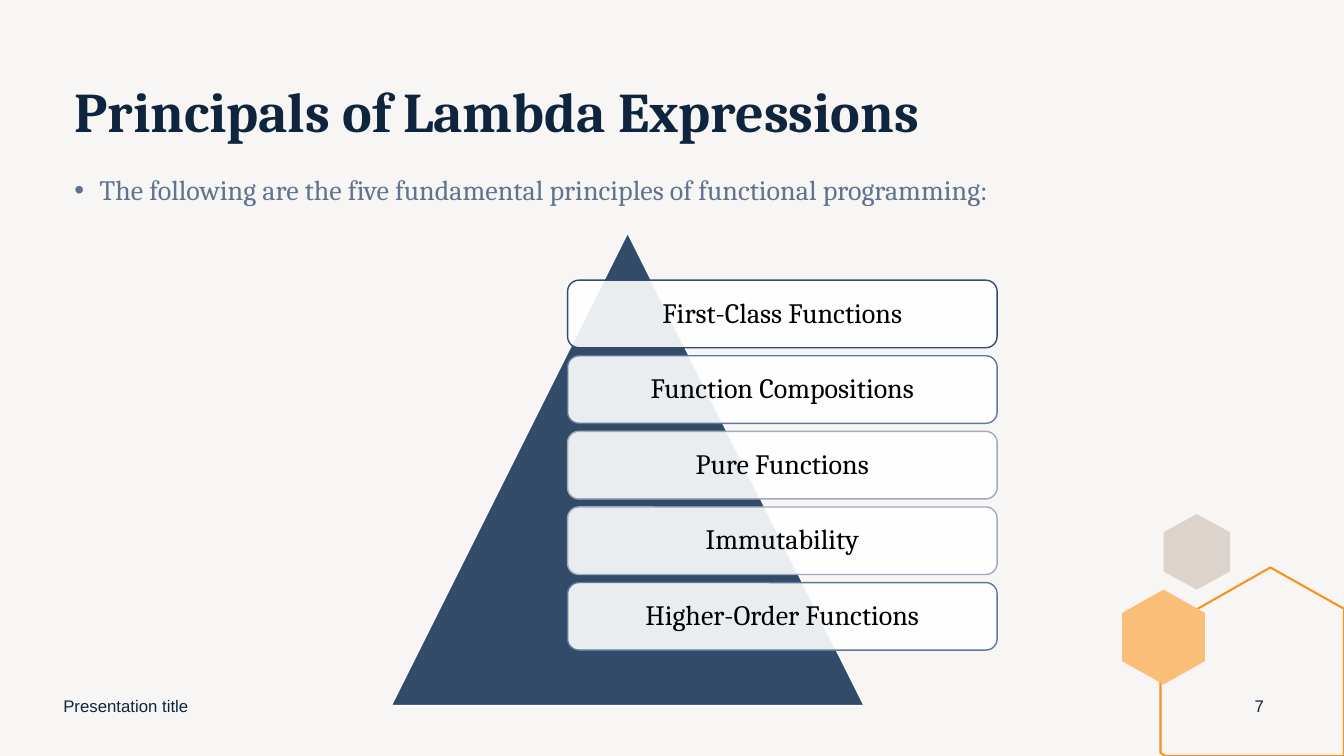
from lxml.etree import SubElement
from pptx import Presentation
from pptx.dml.color import RGBColor
from pptx.enum.shapes import MSO_SHAPE
from pptx.enum.text import MSO_ANCHOR, PP_ALIGN
from pptx.oxml.ns import qn
from pptx.util import Pt

PX = 9144  # EMU; 100 px to the inch
NAVY, SLATE, DEEP_BLUE, MID_BLUE, PALE_BLUE = (
    "0F253E", "61738E", "324B68", "5C789E", "9EA9BB")
PRINCIPLES = [
    ("First-Class Functions", DEEP_BLUE),
    ("Function Compositions", MID_BLUE),
    ("Pure Functions", PALE_BLUE),
    ("Immutability", PALE_BLUE),
    ("Higher-Order Functions", MID_BLUE),
]


def color(hex_value):
    return RGBColor.from_string(hex_value)


def paint(shape, fill=None, line=None, width=1, alpha=None):
    """Set fill and outline; alpha is the fill's opacity in percent."""
    shape.shadow.inherit = False
    if fill:
        shape.fill.solid()
        shape.fill.fore_color.rgb = color(fill)
        if alpha:
            srgb = shape.fill._xPr.find(qn("a:solidFill")).find(qn("a:srgbClr"))
            SubElement(srgb, qn("a:alpha"), val=str(alpha * 1000))
    else:
        shape.fill.background()
    if line:
        shape.line.color.rgb = color(line)
        shape.line.width = Pt(width)
    else:
        shape.line.fill.background()


def write(shape, text, size, hex_value, font="Cambria", bold=False,
          align=PP_ALIGN.LEFT, anchor=MSO_ANCHOR.MIDDLE, spacing=None):
    frame = shape.text_frame
    frame.word_wrap = True
    frame.vertical_anchor = anchor
    paragraph = frame.paragraphs[0]
    paragraph.text = text
    paragraph.alignment = align
    paragraph.line_spacing = spacing
    paragraph.font.name = font
    paragraph.font.size = Pt(size)
    paragraph.font.bold = bold
    paragraph.font.color.rgb = color(hex_value)
    return paragraph


def add_text(slide, box, *args, **style):
    textbox = slide.shapes.add_textbox(*(value * PX for value in box))
    return write(textbox, *args, **style)


def add_bullet(paragraph, indent):
    properties = paragraph._p.get_or_add_pPr()
    properties.set("marL", str(indent * PX))
    properties.set("indent", str(-indent * PX))
    SubElement(properties, qn("a:buFont"), typeface="Arial")
    SubElement(properties, qn("a:buChar"), char="•")


def add_outline(slide, points, **style):
    builder = slide.shapes.build_freeform(*points[0], scale=PX)
    builder.add_line_segments(points[1:], close=True)
    paint(builder.convert_to_shape(), **style)


def add_hexagon(slide, left, top, width, height, fill):
    """Draw a hexagon that stands on a corner."""
    middle, right, bottom = left + width // 2, left + width, top + height
    shoulder = height // 4
    add_outline(slide, [
        (middle, top), (right, top + shoulder), (right, bottom - shoulder),
        (middle, bottom), (left, bottom - shoulder), (left, top + shoulder),
    ], fill=fill)


def add_preset(slide, kind, box, **style):
    shape = slide.shapes.add_shape(kind, *(value * PX for value in box))
    paint(shape, **style)
    return shape


def add_pyramid(slide):
    add_preset(slide, MSO_SHAPE.ISOSCELES_TRIANGLE, (388, 231, 469, 469),
               fill=DEEP_BLUE, line="FFFFFF")
    for row, (principle, border) in enumerate(PRINCIPLES):
        card = add_preset(slide, MSO_SHAPE.ROUNDED_RECTANGLE,
                          (563, 278 + 75 * row, 426, 67),
                          fill="FFFFFF", line=border, alpha=90)
        write(card, principle, 20, "000000", align=PP_ALIGN.CENTER, spacing=0.9)


def main():
    presentation = Presentation()
    presentation.slide_width = 1333 * PX
    presentation.slide_height = 750 * PX
    slide = presentation.slides.add_slide(presentation.slide_layouts[6])
    slide.background.fill.solid()
    slide.background.fill.fore_color.rgb = color("F8F6F5")

    add_hexagon(slide, 1154, 510, 66, 75, "DCD3CC")
    add_outline(slide, [(1260, 563), (1333, 604), (1333, 750), (1156, 750),
                        (1151, 747), (1151, 625)], line="F79320", width=1.5)
    add_hexagon(slide, 1113, 585, 82, 94, "FABE79")

    add_text(slide, (64, 79, 1191, 75), "Principals of Lambda Expressions",
             40, NAVY, bold=True, anchor=MSO_ANCHOR.TOP, spacing=0.9)
    add_text(slide, (53, 680, 450, 40), "Presentation title", 12, NAVY, font="Arial")
    add_text(slide, (1224, 680, 50, 40), "7", 12, NAVY, font="Arial",
             align=PP_ALIGN.CENTER)
    introduction = add_text(
        slide, (64, 165, 1191, 506),
        "The following are the five fundamental principles of functional programming:",
        20, SLATE, anchor=MSO_ANCHOR.TOP, spacing=Pt(25))
    introduction.space_before = Pt(10)
    add_bullet(introduction, 25)
    add_pyramid(slide)

    presentation.save("out.pptx")


if __name__ == "__main__":
    main()
